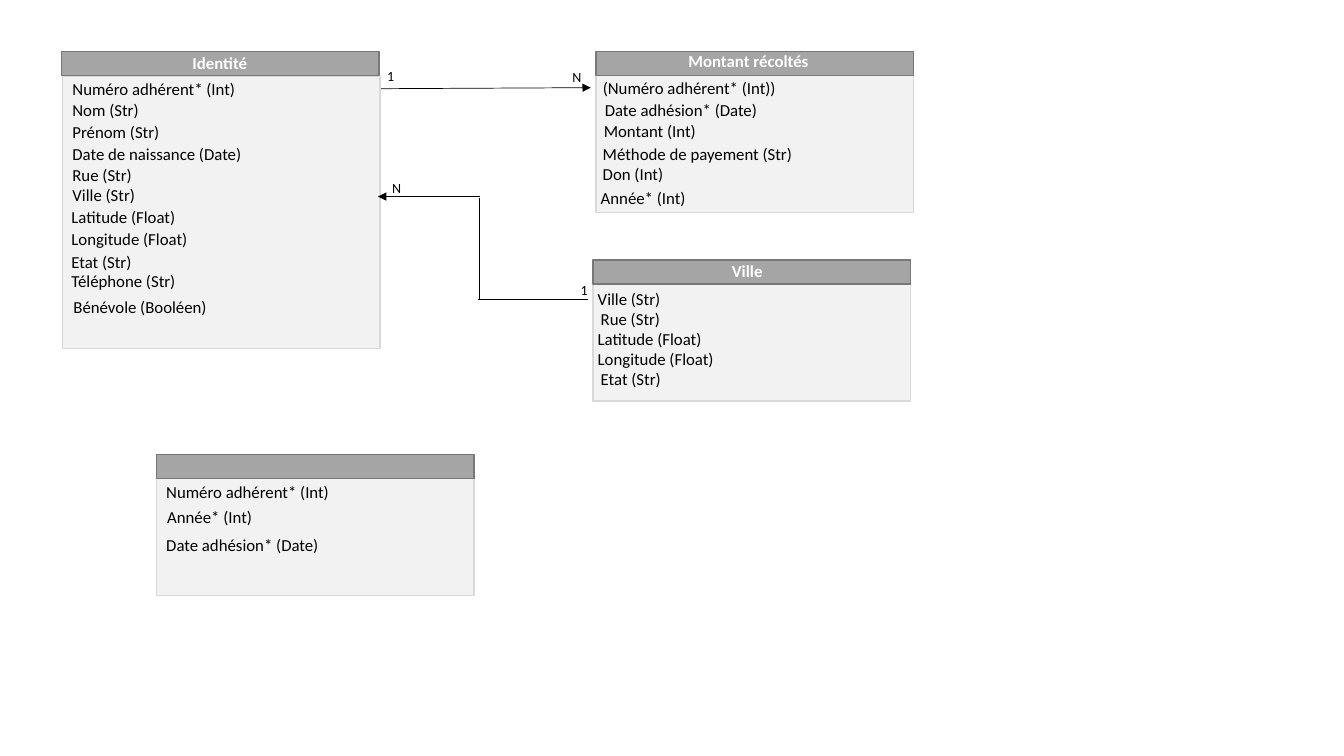
from pptx import Presentation
from pptx.dml.color import RGBColor
from pptx.enum.shapes import MSO_CONNECTOR, MSO_SHAPE
from pptx.enum.text import MSO_AUTO_SIZE
from pptx.oxml.ns import qn
from pptx.util import Inches, Pt
from lxml.etree import SubElement

BLACK = RGBColor(0x00, 0x00, 0x00)
WHITE = RGBColor(0xFF, 0xFF, 0xFF)
BODY_FILL = RGBColor(0xF2, 0xF2, 0xF2)
BODY_LINE = RGBColor(0xD9, 0xD9, 0xD9)
HEADER_FILL = RGBColor(0xA5, 0xA5, 0xA5)
HEADER_LINE = RGBColor(0x78, 0x78, 0x78)
FONT = "Calibri"
TABLE_W, HEADER_H = 3.15, 0.24
FIELD_H, MARK_H = 0.3, 0.27

# Entities: header and body corners, body height, title and fields
# Title and fields: (text, left, top, width)
ENTITIES = [
    {"header": (0.61, 0.51), "body": (0.62, 0.76), "height": 2.7,
     "title": ("Identité", 1.81, 0.47, 0.75),
     "fields": [
         ("Numéro adhérent* (Int)", 0.62, 0.73, 1.89),
         ("Nom (Str)", 0.62, 0.94, 1.23),
         ("Prénom (Str)", 0.62, 1.16, 1.62),
         ("Date de naissance (Date)", 0.62, 1.38, 2.07),
         ("Rue (Str)", 0.62, 1.59, 1.07),
         ("Ville (Str)", 0.62, 1.78, 1.01),
         ("Latitude (Float)", 0.61, 2.0, 1.39),
         ("Longitude (Float)", 0.61, 2.22, 1.5),
         ("Etat (Str)", 0.61, 2.45, 1.23),
         ("Téléphone (Str)", 0.61, 2.64, 1.39),
         ("Bénévole (Booléen)", 0.63, 2.89, 1.61)]},
    {"header": (5.91, 0.51), "body": (5.91, 0.52), "height": 1.59,
     "title": ("Montant récoltés", 6.73, 0.45, 1.64),
     "fields": [
         ("(Numéro adhérent* (Int))", 5.88, 0.72, 2.25),
         ("Date adhésion* (Date)", 5.9, 0.94, 1.89),
         ("Montant (Int)", 5.89, 1.15, 1.23),
         ("Méthode de payement (Str)", 5.88, 1.38, 2.56),
         ("Don (Int)", 5.88, 1.58, 1.23),
         ("Année* (Int)", 5.86, 1.81, 1.23)]},
    {"header": (5.88, 2.58), "body": (5.88, 2.58), "height": 1.4,
     "title": ("Ville", 7.16, 2.54, 1.64),
     "fields": [
         ("Ville (Str)", 5.83, 2.82, 1.01),
         ("Rue (Str)", 5.86, 3.01, 1.07),
         ("Latitude (Float)", 5.83, 3.21, 1.39),
         ("Longitude (Float)", 5.83, 3.41, 1.5),
         ("Etat (Str)", 5.86, 3.61, 1.23)]},
    {"header": (1.55, 4.51), "body": (1.55, 4.51), "height": 1.4,
     "title": None,
     "fields": [
         ("Numéro adhérent* (Int)", 1.55, 4.73, 1.89),
         ("Année* (Int)", 1.56, 4.98, 1.23),
         ("Date adhésion* (Date)", 1.55, 5.26, 1.89)]},
]

# Relation lines: (start, end, has arrowhead)
RELATIONS = [
    ((3.78, 0.88), (5.86, 0.87), True),
    ((4.74, 2.97), (5.83, 2.97), False),
    ((4.75, 1.96), (4.75, 2.97), False),
    ((4.76, 1.95), (3.75, 1.95), True),
]

# Cardinalities: (text, left, top, width)
CARDINALITIES = [
    ("1", 3.74, 0.62, 0.25),
    ("N", 5.58, 0.63, 0.36),
    ("N", 3.79, 1.73, 0.36),
    ("1", 5.66, 2.74, 0.25),
]


def add_box(s, corner, height, fill, line):
    x, y = corner
    sp = s.shapes.add_shape(MSO_SHAPE.RECTANGLE, Inches(x), Inches(y),
                            Inches(TABLE_W), Inches(height))
    sp.shadow.inherit = False
    sp.fill.solid()
    sp.fill.fore_color.rgb = fill
    sp.line.color.rgb = line
    sp.line.width = Pt(1)


def add_label(s, label, height=FIELD_H, size=12, color=BLACK, bold=False):
    text, x, y, w = label
    sp = s.shapes.add_textbox(Inches(x), Inches(y), Inches(w), Inches(height))
    tf = sp.text_frame
    tf.word_wrap = True
    tf.auto_size = MSO_AUTO_SIZE.SHAPE_TO_FIT_TEXT
    p = tf.paragraphs[0]
    p.text = text
    p.font.name = FONT
    p.font.size = Pt(size)
    p.font.bold = bold
    p.font.color.rgb = color


def add_relation(s, start, end, arrow):
    points = [Inches(v) for v in start + end]
    cn = s.shapes.add_connector(MSO_CONNECTOR.STRAIGHT, *points)
    cn.line.color.rgb = BLACK
    cn.line.width = Pt(0.5)
    if arrow:
        SubElement(cn.line._get_or_add_ln(), qn("a:tailEnd"), type="triangle")
    SubElement(cn._element.spPr, qn("a:effectLst"))


def main():
    prs = Presentation()
    prs.slide_width, prs.slide_height = Inches(13.33), Inches(7.5)
    s = prs.slides.add_slide(prs.slide_layouts[6])

    # Entity tables
    for entity in ENTITIES:
        add_box(s, entity["body"], entity["height"], BODY_FILL, BODY_LINE)
        add_box(s, entity["header"], HEADER_H, HEADER_FILL, HEADER_LINE)
        if entity["title"]:
            add_label(s, entity["title"], color=WHITE, bold=True)
        for field in entity["fields"]:
            add_label(s, field)

    # Relations and their cardinalities
    for relation in RELATIONS:
        add_relation(s, *relation)
    for mark in CARDINALITIES:
        add_label(s, mark, height=MARK_H, size=10)

    prs.save("out.pptx")


if __name__ == "__main__":
    main()
